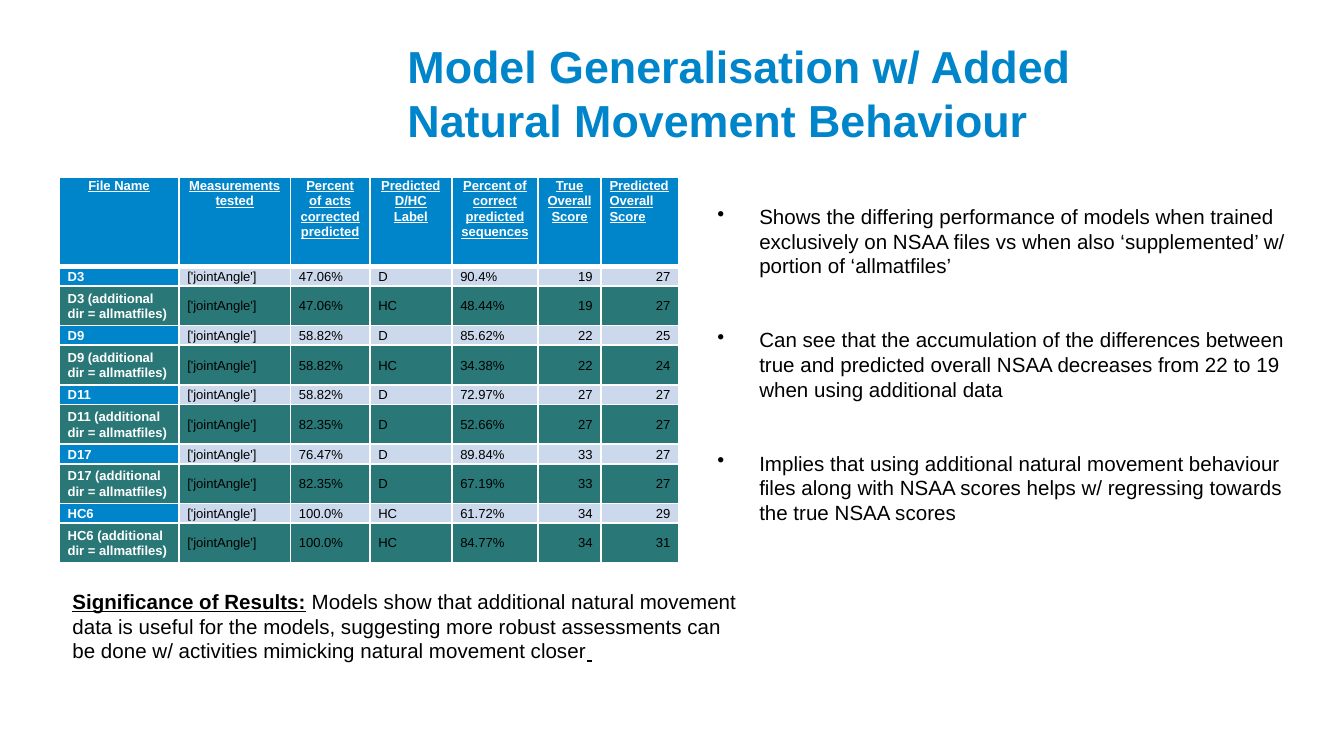
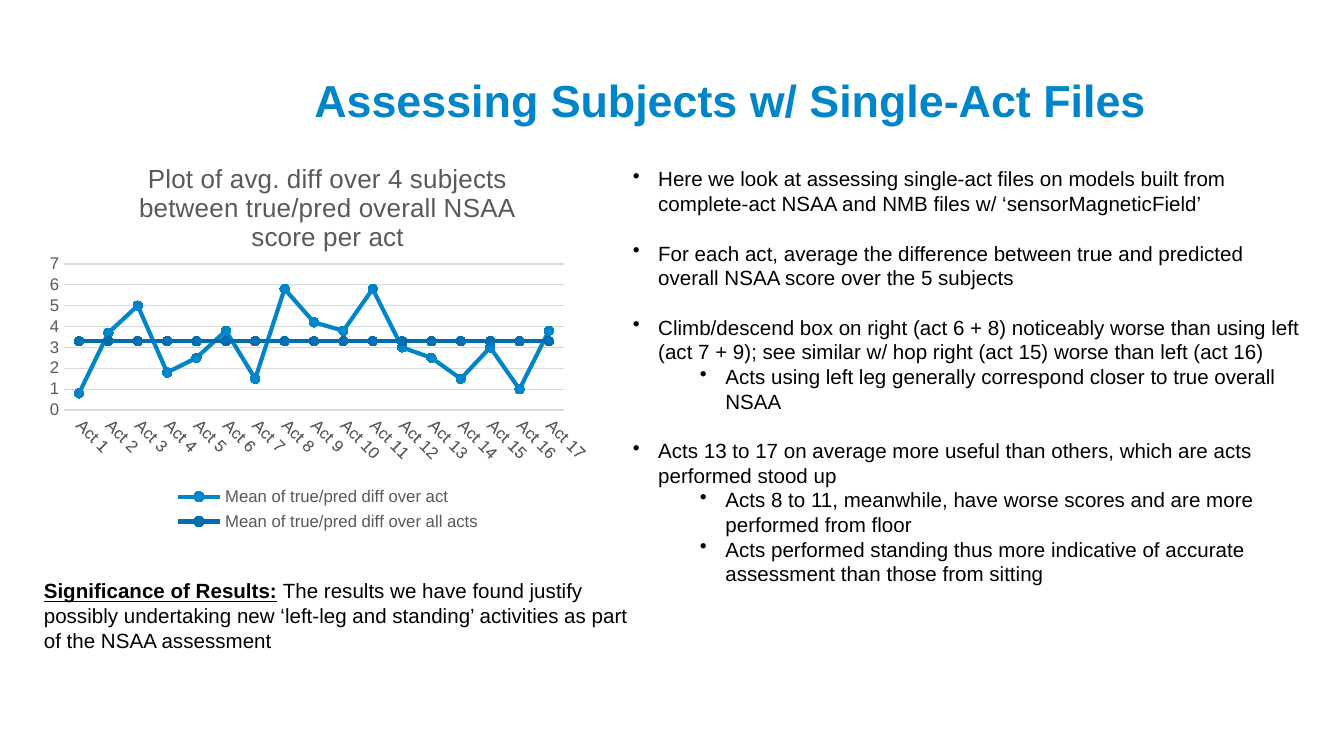
"""Build two slides on NSAA model results: a comparison table and a per-act line chart."""
from lxml import etree
from pptx import Presentation
from pptx.chart.data import CategoryChartData
from pptx.dml.color import RGBColor
from pptx.enum.chart import (XL_AXIS_CROSSES, XL_CHART_TYPE, XL_LEGEND_POSITION,
                             XL_MARKER_STYLE, XL_TICK_MARK)
from pptx.enum.text import MSO_ANCHOR, MSO_AUTO_SIZE, PP_ALIGN
from pptx.oxml import parse_xml
from pptx.oxml.ns import nsdecls, qn
from pptx.util import Cm, Pt

LEFT, CENTER, RIGHT = PP_ALIGN.LEFT, PP_ALIGN.CENTER, PP_ALIGN.RIGHT
TOP, MIDDLE = MSO_ANCHOR.TOP, MSO_ANCHOR.MIDDLE
NO_TICK = XL_TICK_MARK.NONE
FONT = "Arial"
BLUE, DARK_BLUE, PALE, TEAL = "0085CA", "006EAF", "CCD9EC", "297777"
WHITE, BLACK, GREY, GRID = "FFFFFF", "000000", "595959", "D9D9D9"
LINE_GAP = 13.2


def color(value):
    return RGBColor.from_string(value)


def style(font, size, value, bold=False, underline=False):
    font.name, font.size = FONT, Pt(size)
    font.bold, font.underline = bold, underline
    font.color.rgb = color(value)


pages = [
    {
        "title": "Model Generalisation w/ Added Natural Movement Behaviour",
        "title_place": (7.7, 0.53, 12.62, 2.31),
        "bullets_place": (13.31, 3.73, 11.71, 6.38),
        "hanging": 0.79,
        "bullets": [
            (0, 0, "Shows the differing performance of models when trained exclusively on "
                   "NSAA files vs when also ‘supplemented’ w/ portion of ‘allmatfiles’"),
            (0, 2, "Can see that the accumulation of the differences between true and "
                   "predicted overall NSAA decreases from 22 to 19 when using additional data"),
            (0, 2, "Implies that using additional natural movement behaviour files along "
                   "with NSAA scores helps w/ regressing towards the true NSAA scores"),
        ],
        "significance_place": (1.12, 11, 13.28, 1.68),
        "significance": [
            ("Significance of Results:", True),
            (" Models show that additional natural movement data is useful for the models, "
             "suggesting more robust assessments can be done w/ activities mimicking "
             "natural movement closer", False),
            (" ", True),
        ],
    },
    {
        "title": "Assessing Subjects w/ Single-Act Files",
        "title_place": (5.94, 0.66, 16.36, 2.31),
        "bullets_place": (11.71, 3.02, 13.26, 8.26),
        "hanging": 0.48,
        "bullets": [
            (0, 0, "Here we look at assessing single-act files on models built from "
                   "complete-act NSAA and NMB files w/ ‘sensorMagneticField’"),
            (0, 1, "For each act, average the difference between true and predicted "
                   "overall NSAA score over the 5 subjects"),
            (0, 1, "Climb/descend box on right (act 6 + 8) noticeably worse than using left "
                   "(act 7 + 9); see similar w/ hop right (act 15) worse than left (act 16)"),
            (1, 0, "Acts using left leg generally correspond closer to true overall NSAA"),
            (0, 1, "Acts 13 to 17 on average more useful than others, which are acts "
                   "performed stood up"),
            (1, 0, "Acts 8 to 11, meanwhile, have worse scores and are more performed "
                   "from floor"),
            (1, 0, "Acts performed standing thus more indicative of accurate assessment "
                   "than those from sitting"),
        ],
        "significance_place": (0.58, 10.8, 11.73, 1.68),
        "significance": [
            ("Significance of Results:", True),
            (" The results we have found justify possibly undertaking new ‘left-leg and "
             "standing’ activities as part of the NSAA assessment", False),
        ],
    },
]

deck = Presentation()
deck.slide_width, deck.slide_height = Cm(25.4), Cm(14.28)

for content in pages:
    page = deck.slides.add_slide(deck.slide_layouts[5])
    title = page.shapes.title
    title.left, title.top, title.width, title.height = map(Cm, content["title_place"])
    frame = title.text_frame
    frame.text = content["title"]
    frame.word_wrap, frame.auto_size = True, MSO_AUTO_SIZE.NONE
    frame.vertical_anchor = MIDDLE
    frame.margin_left = frame.margin_right = frame.margin_bottom = 0
    frame.margin_top = Cm(0.13)
    frame.paragraphs[0].alignment = LEFT
    style(frame.paragraphs[0].font, 24, BLUE, bold=True)

    frame = page.shapes.add_textbox(*map(Cm, content["bullets_place"])).text_frame
    frame.word_wrap = True
    for index, (level, blank_lines, text) in enumerate(content["bullets"]):
        para = frame.add_paragraph() if index else frame.paragraphs[0]
        para.text, para.level = text, level
        para.space_before = Pt(blank_lines * LINE_GAP)
        style(para.font, 11, BLACK)
        properties = para._p.get_or_add_pPr()
        properties.set("marL", str(Cm(content["hanging"] + 1.27 * level)))
        properties.set("indent", str(-Cm(content["hanging"])))
        properties.insert_element_before(
            parse_xml(f'<a:buChar {nsdecls("a")} char="•"/>'), "a:defRPr")

    frame = page.shapes.add_textbox(*map(Cm, content["significance_place"])).text_frame
    frame.word_wrap = True
    for text, marked in content["significance"]:
        span = frame.paragraphs[0].add_run()
        span.text = text
        style(span.font, 11, BLACK, bold=marked, underline=marked)

results_page, acts_page = deck.slides

headers = ["File Name", "Measurements tested", "Percent of acts corrected predicted",
           "Predicted D/HC Label", "Percent of correct predicted sequences",
           "True Overall Score", "Predicted Overall Score"]
results = [
    ("D3", "47.06%", "D", "90.4%", "19", "27"),
    ("D3", "47.06%", "HC", "48.44%", "19", "27"),
    ("D9", "58.82%", "D", "85.62%", "22", "25"),
    ("D9", "58.82%", "HC", "34.38%", "22", "24"),
    ("D11", "58.82%", "D", "72.97%", "27", "27"),
    ("D11", "82.35%", "D", "52.66%", "27", "27"),
    ("D17", "76.47%", "D", "89.84%", "33", "27"),
    ("D17", "82.35%", "D", "67.19%", "33", "27"),
    ("HC6", "100.0%", "HC", "61.72%", "34", "29"),
    ("HC6", "100.0%", "HC", "84.77%", "34", "31"),
]
rows = [headers]
for index, (subject, *values) in enumerate(results):
    name = subject + " (additional dir = allmatfiles)" * (index % 2)
    rows.append([name, "['jointAngle']", *values])

widths = [2.26, 2.11, 1.5, 1.55, 1.63, 1.19, 1.47]
heights = [1.68] + [0.37, 0.75] * 5
table = results_page.shapes.add_table(
    len(rows), len(widths), Cm(1.12), Cm(3.35), Cm(sum(widths)), Cm(sum(heights))).table
table.horz_banding = False
for column, width in zip(table.columns, widths):
    column.width = Cm(width)
for row, height in zip(table.rows, heights):
    row.height = Cm(height)

for row_index, row in enumerate(rows):
    is_header = row_index == 0
    for column_index, text in enumerate(row):
        is_name = column_index == 0
        cell = table.cell(row_index, column_index)
        cell.text = text
        cell.margin_left = cell.margin_right = Cm(0.16)
        cell.margin_top = cell.margin_bottom = 0
        cell.vertical_anchor = TOP if is_header else MIDDLE
        para = cell.text_frame.paragraphs[0]
        para.line_spacing = 1.07
        if is_header:
            para.alignment = CENTER if column_index < 6 else LEFT
        else:
            para.alignment = RIGHT if column_index > 4 else LEFT
        strong = is_header or is_name
        style(para.font, 7, WHITE if strong else BLACK, bold=strong, underline=is_header)
        for side in ("L", "R", "T", "B"):
            thick = (is_header and side == "B") or (row_index == 1 and side == "T")
            cell._tc.get_or_add_tcPr().append(parse_xml(
                f'<a:ln{side} {nsdecls("a")} w="{Pt(3 if thick else 1)}"><a:solidFill>'
                f'<a:srgbClr val="{WHITE}"/></a:solidFill></a:ln{side}>'))
        cell.fill.solid()
        if is_header or (is_name and row_index % 2):
            fill = BLUE
        else:
            fill = PALE if row_index % 2 else TEAL
        cell.fill.fore_color.rgb = color(fill)

act_means = [0.8, 3.7, 5, 1.8, 2.5, 3.8, 1.5, 5.8, 4.2, 3.8, 5.8, 3, 2.5, 1.5, 3, 1, 3.8]
chart_data = CategoryChartData()
chart_data.categories = [f"Act {number}" for number in range(1, len(act_means) + 1)]
chart_data.add_series("Mean of true/pred diff over act", act_means)
chart_data.add_series("Mean of true/pred diff over all acts", [3.3] * len(act_means))
chart = acts_page.shapes.add_chart(
    XL_CHART_TYPE.LINE_MARKERS, Cm(0.94), Cm(2.67), Cm(10.44), Cm(7.47), chart_data).chart
style(chart.font, 10, BLACK)
chart.has_title = True
chart.chart_title.include_in_layout = False
heading = chart.chart_title.text_frame
heading.text = "Plot of avg. diff over 4 subjects between true/pred overall NSAA score per act"
style(heading.paragraphs[0].font, 14, GREY)
chart.has_legend = True
chart.legend.position = XL_LEGEND_POSITION.BOTTOM
chart.legend.include_in_layout = False
style(chart.legend.font, 9, GREY)

act_axis, score_axis = chart.category_axis, chart.value_axis
for axis in (act_axis, score_axis):
    axis.major_tick_mark = axis.minor_tick_mark = NO_TICK
    style(axis.tick_labels.font, 9, GREY)
act_axis.format.line.color.rgb = color(GRID)
act_axis.format.line.width = Pt(0.75)
act_axis.crosses = XL_AXIS_CROSSES.MAXIMUM
act_axis._element.find(qn("c:txPr")).find(qn("a:bodyPr")).set("rot", str(45 * 60000))
score_axis.minimum_scale, score_axis.maximum_scale, score_axis.major_unit = 0, 7, 1
score_axis.format.line.fill.background()
score_axis.major_gridlines.format.line.color.rgb = color(GRID)
score_axis.major_gridlines.format.line.width = Pt(0.75)

for series, value in zip(chart.plots[0].series, (BLUE, DARK_BLUE)):
    series.smooth = False
    series.format.line.color.rgb = color(value)
    series.format.line.width = Pt(2.25)
    series.marker.style, series.marker.size = XL_MARKER_STYLE.CIRCLE, 5
    series.marker.format.fill.solid()
    series.marker.format.fill.fore_color.rgb = color(value)
    series.marker.format.line.color.rgb = color(value)
chart.plots[0].vary_by_categories = False

plot_area = chart._chartSpace.chart.plotArea
for old_layout in plot_area.findall(qn("c:layout")):
    plot_area.remove(old_layout)
layout = etree.Element(qn("c:layout"))
manual = etree.SubElement(layout, qn("c:manualLayout"))
for tag, value in (("layoutTarget", "inner"), ("xMode", "edge"), ("yMode", "edge"),
                   ("x", 0.02), ("y", 0.31), ("w", 0.91), ("h", 0.37)):
    etree.SubElement(manual, qn(f"c:{tag}")).set("val", str(value))
plot_area.insert(0, layout)

deck.save("out.pptx")
